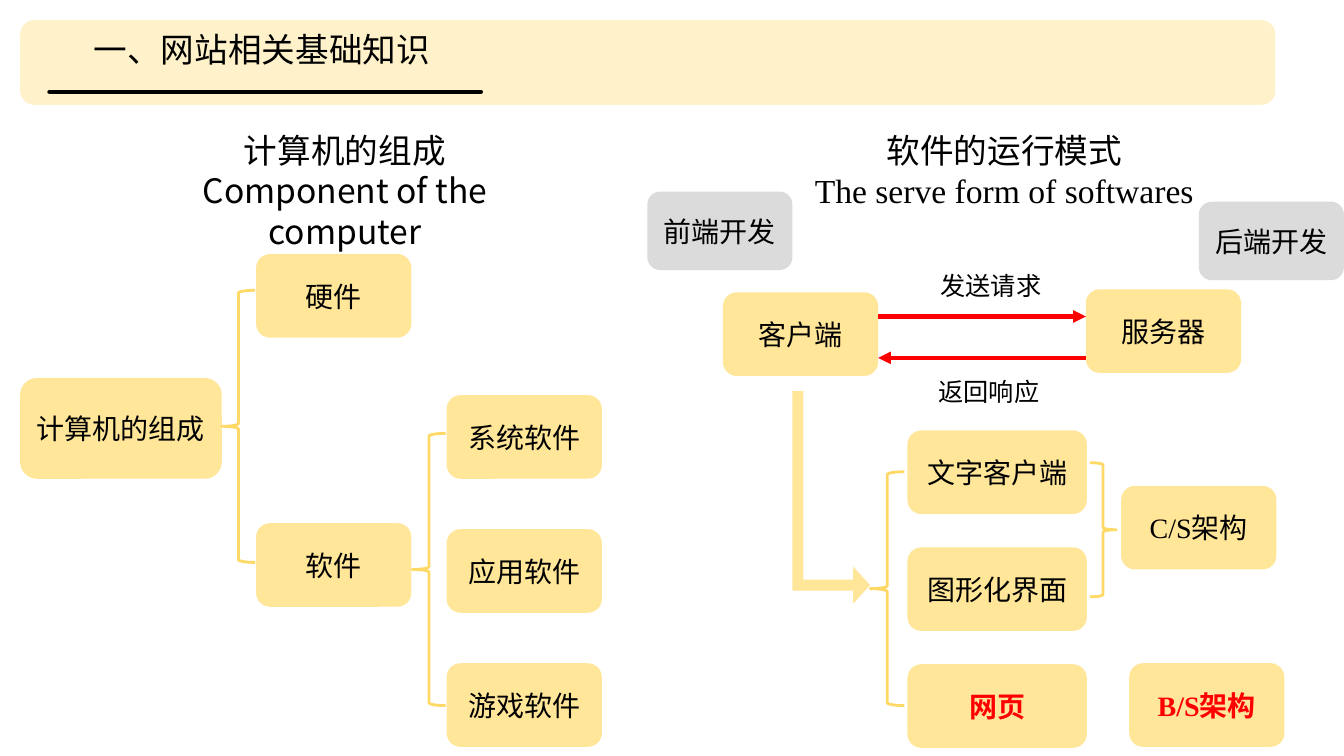
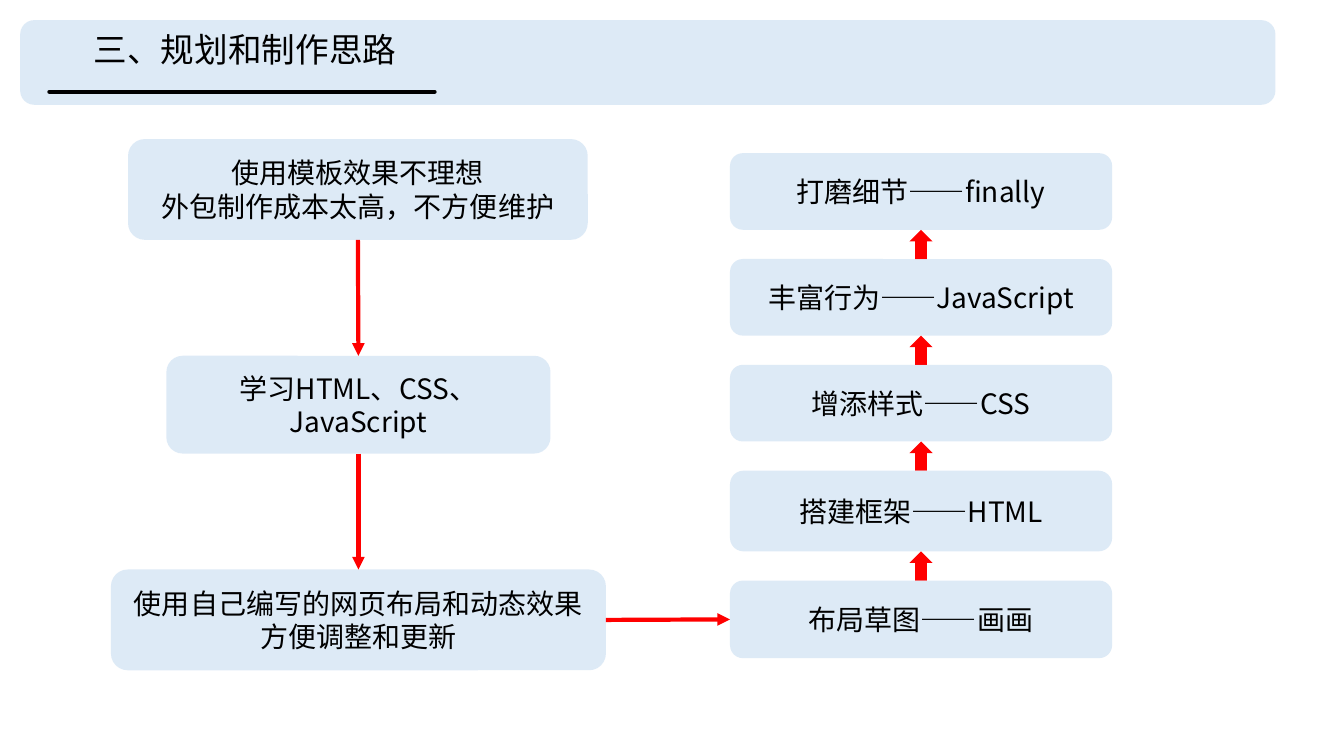
from dataclasses import dataclass

from lxml import etree
from pptx import Presentation
from pptx.dml.color import RGBColor
from pptx.enum.shapes import MSO_CONNECTOR, MSO_SHAPE
from pptx.enum.text import MSO_ANCHOR, MSO_AUTO_SIZE, PP_ALIGN
from pptx.oxml.ns import qn
from pptx.util import Inches, Pt

ROUND = MSO_SHAPE.ROUNDED_RECTANGLE
BRACE = MSO_SHAPE.LEFT_BRACE
BENT_ARROW = MSO_SHAPE.BENT_UP_ARROW
UP_ARROW = MSO_SHAPE.UP_ARROW
STRAIGHT = MSO_CONNECTOR.STRAIGHT
LEFT, CENTER = PP_ALIGN.LEFT, PP_ALIGN.CENTER
TOP, MIDDLE = MSO_ANCHOR.TOP, MSO_ANCHOR.MIDDLE
TITLE_ONLY = 5
SIDE_TOP, SIDE_LEFT, SIDE_BOTTOM, SIDE_RIGHT = range(4)


@dataclass(frozen=True)
class Theme:
    ink: str = "000000"
    red: str = "FF0000"
    yellow: str = "FFE699"
    gold: str = "FFD966"
    blue: str = "BDD7EE"
    gray: str = "DBDBDB"
    sans: str = "Noto Sans CJK SC"
    serif: str = "Times New Roman"
    title_size: int = 24
    body_size: int = 20
    note_size: int = 18
    line_width: int = 3
    brace_width: int = 2
    half: int = 50


THEME = Theme()


def write(frame, text, size=THEME.body_size, color=THEME.ink, latin=THEME.sans,
          bold=False, align=CENTER, anchor=MIDDLE, wrap=True):
    frame.word_wrap = wrap
    frame.vertical_anchor = anchor
    for index, line in enumerate(text.split("\n")):
        para = frame.add_paragraph() if index else frame.paragraphs[0]
        para.alignment = align
        span = para.add_run()
        span.text = line
        span.font.size = Pt(size)
        span.font.bold = bold
        span.font.color.rgb = RGBColor.from_string(color)
        span.font.name = latin
        east_asian = etree.SubElement(span.font._element, qn("a:ea"))
        east_asian.set("typeface", THEME.sans)


def add_figure(page, kind, left, top, width, height, fill=None, opacity=100):
    figure = page.shapes.add_shape(
        kind, Inches(left), Inches(top), Inches(width), Inches(height))
    figure.shadow.inherit = False
    figure.line.fill.background()
    if fill:
        figure.fill.solid()
        figure.fill.fore_color.rgb = RGBColor.from_string(fill)
        if opacity < 100:
            color = figure._element.spPr.find(qn("a:solidFill"))[0]
            etree.SubElement(color, qn("a:alpha")).set("val", str(opacity * 1000))
    else:
        figure.fill.background()
    return figure


def add_box(page, text, left, top, width=1.54, height=0.83,
            fill=THEME.yellow, opacity=100, **style):
    box = add_figure(page, ROUND, left, top, width, height, fill, opacity)
    write(box.text_frame, text, **style)
    return box


def add_brace(page, left, top, width, height, rotation=0):
    brace = add_figure(page, BRACE, left, top, width, height)
    brace.line.color.rgb = RGBColor.from_string(THEME.gold)
    brace.line.width = Pt(THEME.brace_width)
    brace.rotation = rotation


def add_line(page, start=(0, 0), end=(0, 0), color=THEME.red, arrow=True):
    line = page.shapes.add_connector(
        STRAIGHT, *(Inches(value) for value in (*start, *end)))
    line.line.color.rgb = RGBColor.from_string(color)
    line.line.width = Pt(THEME.line_width)
    outline = line.line._get_or_add_ln()
    if arrow:
        etree.SubElement(outline, qn("a:tailEnd")).set("type", "triangle")
    else:
        outline.set("cap", "rnd")
    etree.SubElement(line._element.spPr, qn("a:effectLst"))
    return line


def join(page, first, first_side, second, second_side):
    line = add_line(page)
    line.begin_connect(first, first_side)
    line.end_connect(second, second_side)


def add_label(page, text, left, top, width, height, **style):
    label = page.shapes.add_textbox(
        Inches(left), Inches(top), Inches(width), Inches(height))
    write(label.text_frame, text, anchor=TOP, **style)
    label.text_frame.auto_size = MSO_AUTO_SIZE.SHAPE_TO_FIT_TEXT


def add_page(deck, title, color, rule_end):
    page = deck.slides.add_slide(deck.slide_layouts[TITLE_ONLY])
    add_figure(page, ROUND, 0.2, 0.2, 12.45, 0.84, color, THEME.half)
    heading = page.shapes.title
    heading.left, heading.top = Inches(0.83), Inches(0.24)
    heading.width, heading.height = Inches(11.7), Inches(0.6)
    heading.text_frame.auto_size = MSO_AUTO_SIZE.NONE
    write(heading.text_frame, title, size=THEME.title_size, align=LEFT, anchor=TOP)
    page.shapes._spTree.append(heading._element)
    add_line(page, (0.49, 0.91), (rule_end, 0.91), THEME.ink, arrow=False)
    return page


def draw_computer_parts(page):
    add_label(page, "计算机的组成\nComponent of the computer",
              1.2, 1.24, 4.44, 0.91, size=THEME.title_size)
    add_box(page, "计算机的组成", 0.2, 3.75, 2, 1)
    add_box(page, "硬件", 2.54, 2.52)
    add_box(page, "软件", 2.54, 5.19)
    for index, text in enumerate(("系统软件", "应用软件", "游戏软件")):
        add_box(page, text, 4.43, 3.92 + 1.33 * index)
    add_brace(page, 2.2, 2.88, 0.33, 2.7)
    add_brace(page, 4.09, 4.3, 0.33, 2.7)


def draw_software_modes(page):
    highlight = {"color": THEME.red, "bold": True}
    add_label(page, "软件的运行模式\nThe serve form of softwares",
              7.74, 1.24, 4.44, 0.91, size=THEME.title_size, latin=THEME.serif)
    add_box(page, "客户端", 7.17, 2.9)
    add_box(page, "服务器", 10.77, 2.87)
    add_line(page, (8.71, 3.14), (10.77, 3.14))
    add_line(page, (10.77, 3.55), (8.71, 3.55))
    for text, left, top in (("发送请求", 9.23, 2.63), ("返回响应", 9.21, 3.68)):
        add_label(page, text, left, top, 1.21, 0.4,
                  size=THEME.note_size, align=LEFT, wrap=False)

    arrow = add_figure(page, BENT_ARROW, 7.19, 4.55, 2.11, 0.77, THEME.yellow)
    arrow.rotation = 90
    for index, value in enumerate((0.14, 0.24, 0.22)):
        arrow.adjustments[index] = value

    clients = (("文字客户端", {}), ("图形化界面", {}), ("网页", highlight))
    for index, (text, style) in enumerate(clients):
        add_box(page, text, 9, 4.27 + 1.16 * index, 1.78, **style)
    add_brace(page, 8.63, 4.68, 0.34, 2.32)
    add_brace(page, 10.81, 4.59, 0.26, 1.33, rotation=180)
    add_box(page, "C/S架构", 11.12, 4.82, latin=THEME.serif)
    add_box(page, "B/S架构", 11.2, 6.58, latin=THEME.serif, **highlight)
    for text, left, top in (("前端开发", 6.42, 1.9), ("后端开发", 11.89, 2)):
        add_box(page, text, left, top, 1.44, 0.78, fill=THEME.gray)


def draw_plan(page):
    tint = {"fill": THEME.blue, "opacity": THEME.half}
    reasons = [add_box(page, text, *place, **tint) for text, *place in (
        ("使用模板效果不理想\n外包制作成本太高，不方便维护", 1.27, 1.38, 4.56, 1),
        ("学习HTML、CSS、JavaScript", 1.65, 3.53, 3.81, 0.97),
        ("使用自己编写的网页布局和动态效果\n方便调整和更新", 1.1, 5.65, 4.91, 1),
    )]
    for upper, lower in zip(reasons, reasons[1:]):
        join(page, upper, SIDE_BOTTOM, lower, SIDE_TOP)

    steps = (
        ("打磨细节——finally", 0.76),
        ("丰富行为——JavaScript", 0.76),
        ("增添样式——CSS", 0.76),
        ("搭建框架——HTML", 0.8),
        ("布局草图——画画", 0.77),
    )
    top, gap = 1.52, 0.29
    for index, (text, height) in enumerate(steps):
        if index:
            add_figure(page, UP_ARROW, 9.02, top - gap, 0.23, gap, THEME.red)
        step = add_box(page, text, 7.24, top, 3.79, height, **tint)
        top += height + gap
    join(page, reasons[-1], SIDE_RIGHT, step, SIDE_LEFT)


def main():
    deck = Presentation()
    deck.slide_width, deck.slide_height = Inches(13.33), Inches(7.5)
    basics = add_page(deck, "一、网站相关基础知识", THEME.yellow, 4.77)
    draw_computer_parts(basics)
    draw_software_modes(basics)
    draw_plan(add_page(deck, "三、规划和制作思路", THEME.blue, 4.31))
    deck.save("out.pptx")


if __name__ == "__main__":
    main()
